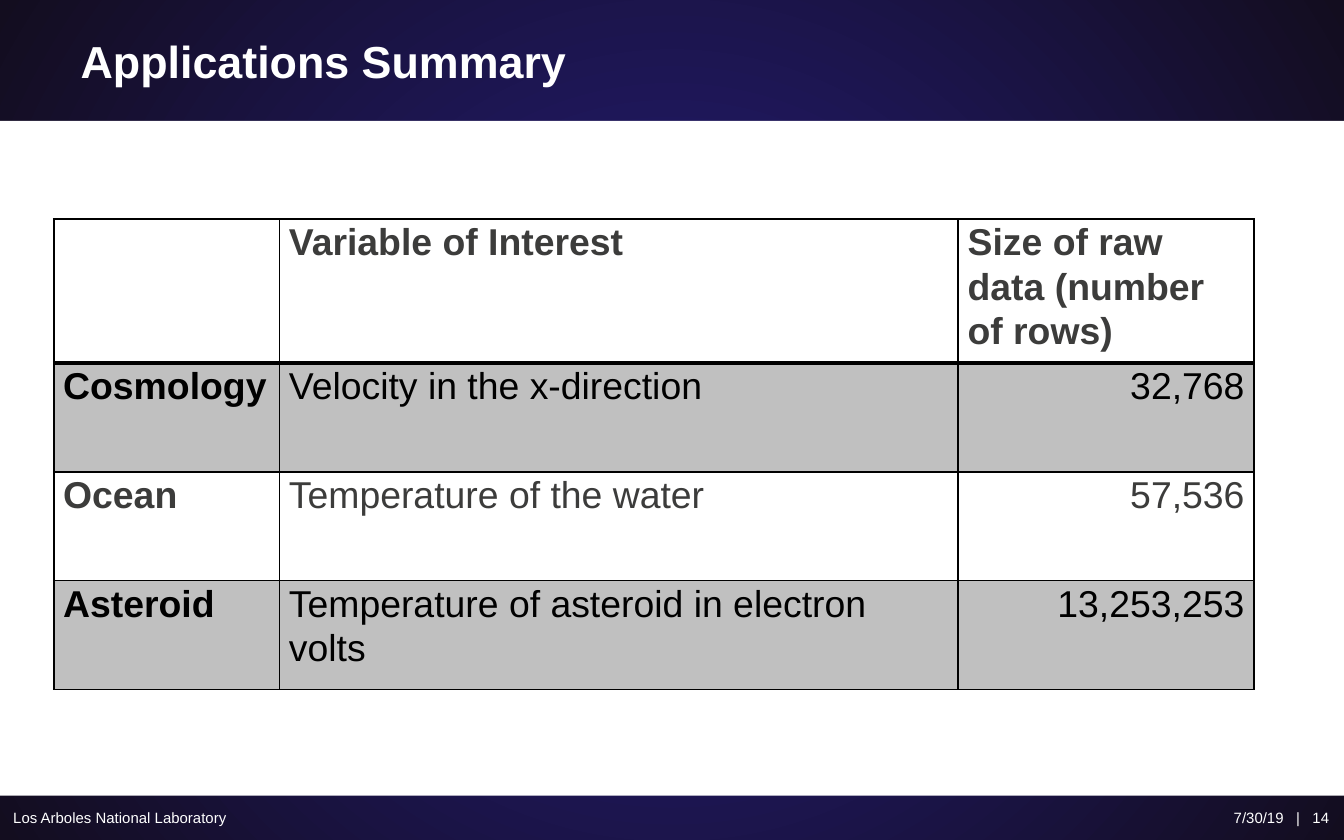
from dataclasses import dataclass

from lxml import etree
from pptx import Presentation
from pptx import util as u
from pptx.dml.color import RGBColor
from pptx.enum import shapes, text
from pptx.oxml import ns


@dataclass(frozen=True)
class Theme:
    font: str = "Arial"
    white: str = "FFFFFF"
    black: str = "000000"
    charcoal: str = "3C3C3B"
    band: str = "C0C0C0"
    glow: str = "251D7D"
    night: str = "130D1F"
    title_size: int = 24
    table_size: int = 20
    footer_size: int = 8
    rule: float = 1
    header_rule: float = 2.25


@dataclass(frozen=True)
class Footer:
    wording: str
    left: float
    width: float
    align: text.PP_ALIGN


@dataclass(frozen=True)
class Application:
    name: str
    variable: str
    raw_rows: int


THEME = Theme()
FOOTERS = [
    Footer("7/30/19   |   14", 7.66, 2.33, text.PP_ALIGN.RIGHT),
    Footer("Los Arboles National Laboratory", 0, 3.62, text.PP_ALIGN.LEFT),
]
HEADER = ["", "Variable of Interest", "Size of raw data (number of rows)"]
APPLICATIONS = [
    Application("Cosmology", "Velocity in the x-direction", 32768),
    Application("Ocean", "Temperature of the water", 57536),
    Application("Asteroid", "Temperature of asteroid in electron volts", 13253253),
]
COLUMN_WIDTHS = [1.68, 5.05, 2.2]
ROW_HEIGHTS = [0.63, 0.81, 0.81, 0.81]


def rgb(value: str) -> RGBColor:
    return RGBColor.from_string(value)


def style_text(para, size: int, color: str, bold: bool = False) -> None:
    for span in para.runs:
        span.font.name = THEME.font
        span.font.size = u.Pt(size)
        span.font.bold = bold
        span.font.color.rgb = rgb(color)


def paint_background(page) -> None:
    """Fill the page with a gradient that runs outwards from its centre."""
    fill = page.background.fill
    fill.gradient()
    for stop, color, position in zip(fill.gradient_stops, (THEME.glow, THEME.night), (0, 1)):
        stop.color.rgb = rgb(color)
        stop.position = position
    gradient = page.element.find(".//" + ns.qn("a:gradFill"))
    gradient.remove(gradient.find(ns.qn("a:lin")))
    circle = etree.SubElement(gradient, ns.qn("a:path"), path="circle")
    etree.SubElement(circle, ns.qn("a:fillToRect"), l="50000", t="50000", r="50000", b="50000")


def add_content_panel(page) -> None:
    panel = page.shapes.add_shape(
        shapes.MSO_SHAPE.RECTANGLE, 0, u.Inches(0.9), u.Inches(10), u.Inches(5.02)
    )
    panel.shadow.inherit = False
    panel.fill.solid()
    panel.fill.fore_color.rgb = rgb(THEME.white)
    panel.line.fill.background()


def set_title(page, wording: str) -> None:
    title = page.shapes.title
    title.left, title.top = u.Inches(0.5), u.Inches(0)
    title.width, title.height = u.Inches(9), u.Inches(0.9)
    title.text_frame.text = wording
    title.text_frame.vertical_anchor = text.MSO_ANCHOR.MIDDLE
    para = title.text_frame.paragraphs[0]
    para.alignment = text.PP_ALIGN.LEFT
    style_text(para, THEME.title_size, THEME.white, bold=True)


def add_footer(page, footer: Footer) -> None:
    box = page.shapes.add_textbox(
        u.Inches(footer.left), u.Inches(5.92), u.Inches(footer.width), u.Inches(0.33)
    )
    frame = box.text_frame
    frame.word_wrap = True
    frame.vertical_anchor = text.MSO_ANCHOR.MIDDLE
    frame.text = footer.wording
    para = frame.paragraphs[0]
    para.alignment = footer.align
    style_text(para, THEME.footer_size, THEME.white)


def set_borders(cell, top: float, bottom: float) -> None:
    properties = cell._tc.get_or_add_tcPr()
    widths = {"lnL": THEME.rule, "lnR": THEME.rule, "lnT": top, "lnB": bottom}
    for side, width in widths.items():
        line = etree.SubElement(properties, ns.qn(f"a:{side}"), w=str(u.Pt(width)))
        paint = etree.SubElement(line, ns.qn("a:solidFill"))
        etree.SubElement(paint, ns.qn("a:srgbClr"), val=THEME.black)


def fill_cell(cell, wording: str, row: int, column: int) -> None:
    set_borders(
        cell,
        top=THEME.header_rule if row == 1 else THEME.rule,
        bottom=THEME.header_rule if row == 0 else THEME.rule,
    )
    banded = row % 2 == 1
    if banded:
        cell.fill.solid()
        cell.fill.fore_color.rgb = rgb(THEME.band)
    else:
        cell.fill.background()
    cell.margin_left = cell.margin_right = u.Inches(0.07)
    cell.margin_top = cell.margin_bottom = 0
    cell.text_frame.text = wording
    para = cell.text_frame.paragraphs[0]
    para.line_spacing = 1.07
    para.space_after = u.Pt(8)
    if row > 0 and column == 2:
        para.alignment = text.PP_ALIGN.RIGHT
    color = THEME.black if banded else THEME.charcoal
    style_text(para, THEME.table_size, color, bold=row == 0 or column == 0)


def add_summary_table(page) -> None:
    rows = [HEADER] + [[a.name, a.variable, f"{a.raw_rows:,}"] for a in APPLICATIONS]
    table = page.shapes.add_table(
        len(rows), len(HEADER), u.Inches(0.4), u.Inches(1.63),
        u.Inches(sum(COLUMN_WIDTHS)), u.Inches(sum(ROW_HEIGHTS)),
    ).table
    table.horz_banding = False
    for column, width in zip(table.columns, COLUMN_WIDTHS):
        column.width = u.Inches(width)
    for row, height in zip(table.rows, ROW_HEIGHTS):
        row.height = u.Inches(height)
    for r, wordings in enumerate(rows):
        for c, wording in enumerate(wordings):
            fill_cell(table.cell(r, c), wording, r, c)


def main() -> None:
    deck = Presentation()
    deck.slide_width, deck.slide_height = u.Inches(10), u.Inches(6.25)
    page = deck.slides.add_slide(deck.slide_layouts[5])
    paint_background(page)
    add_content_panel(page)
    set_title(page, "Applications Summary")
    for footer in FOOTERS:
        add_footer(page, footer)
    add_summary_table(page)
    deck.save("out.pptx")


if __name__ == "__main__":
    main()
